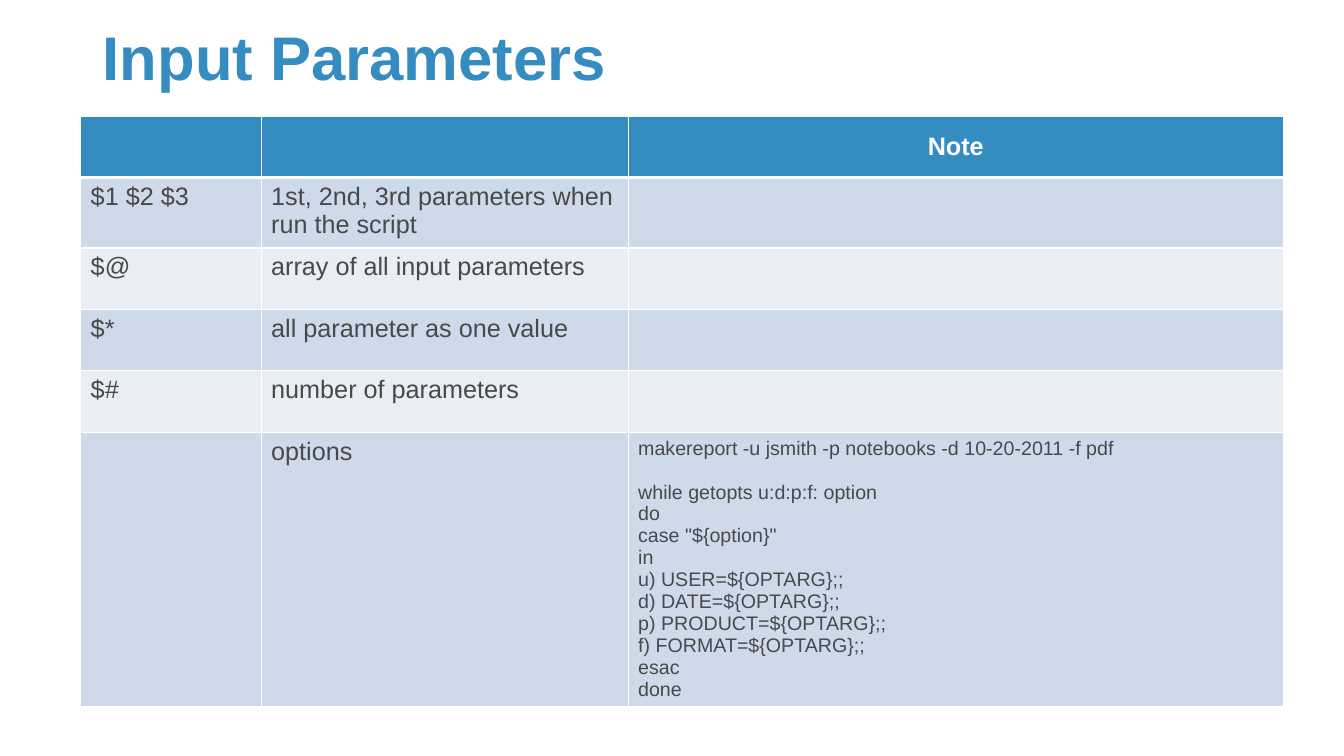
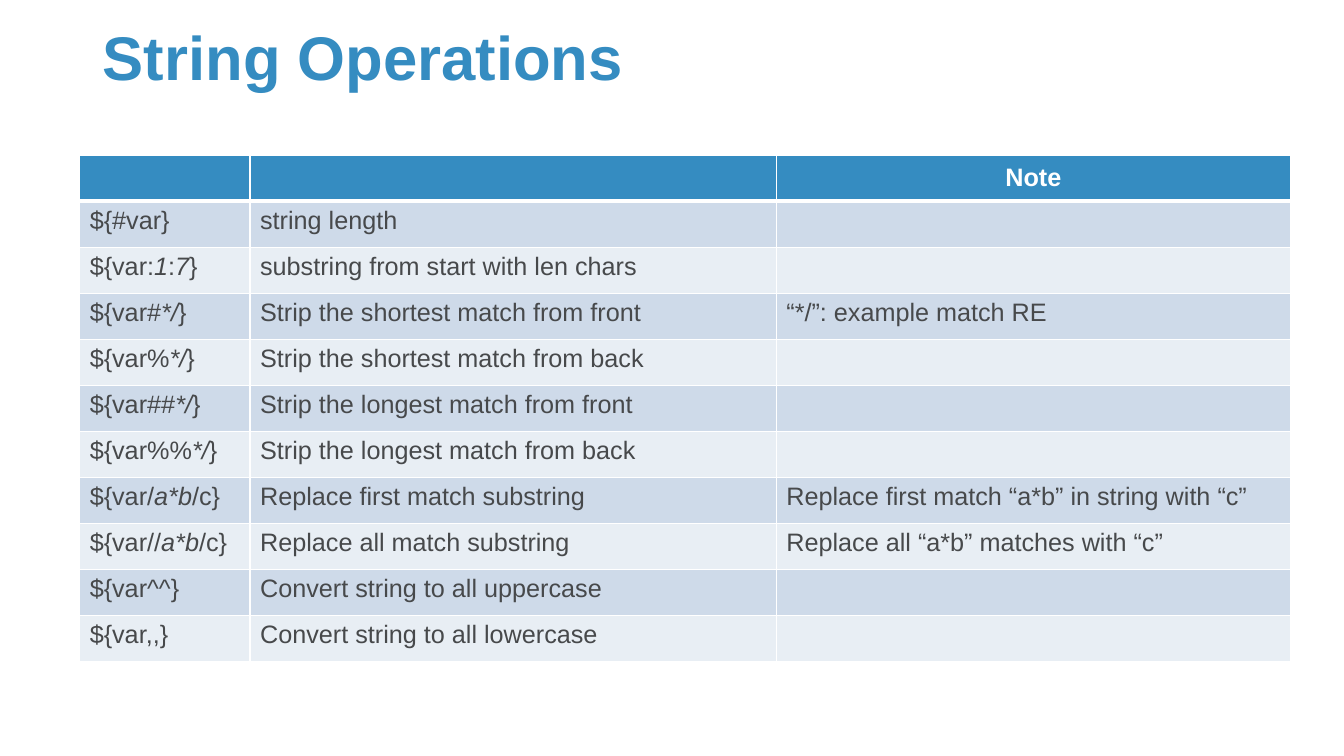
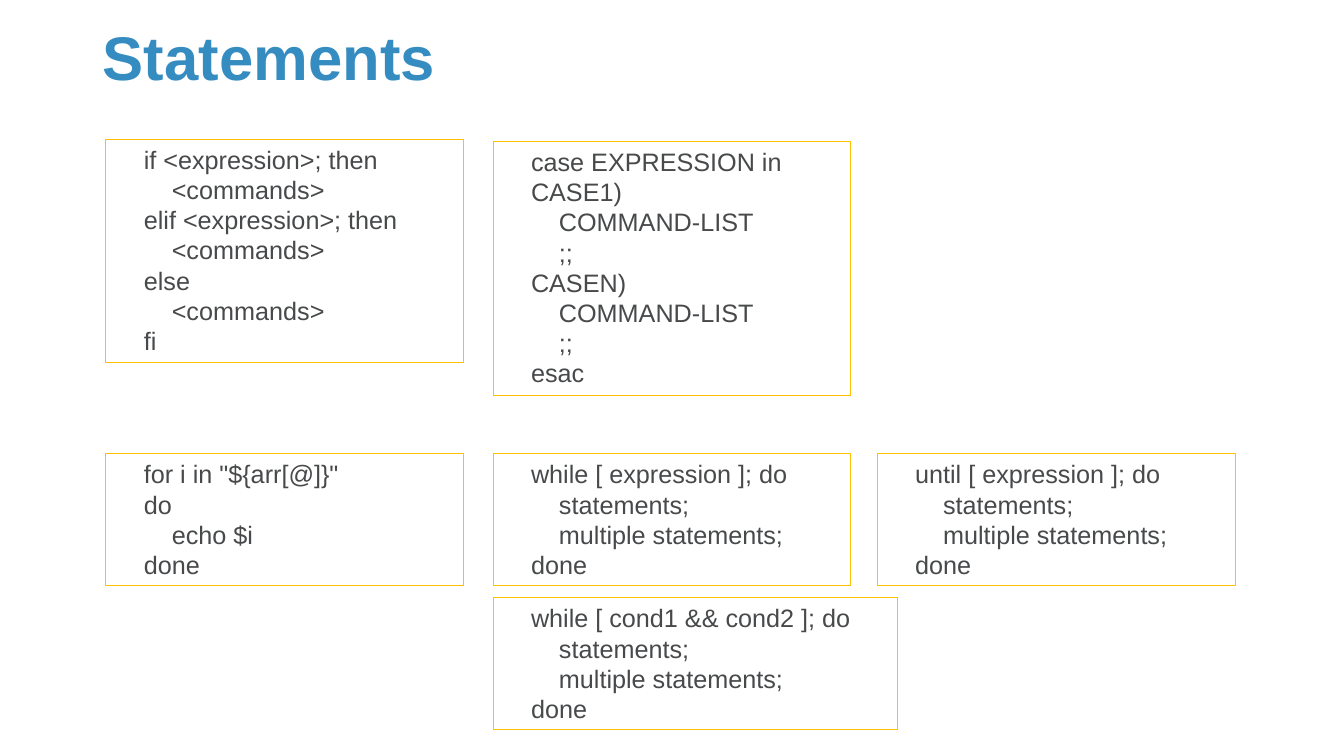
from lxml.etree import SubElement
from pptx import Presentation
from pptx.dml.color import RGBColor
from pptx.enum.shapes import MSO_SHAPE
from pptx.enum.text import MSO_ANCHOR, MSO_AUTO_SIZE, PP_ALIGN
from pptx.oxml.ns import qn
from pptx.util import Pt

EMU_PER_PX = 9144
FONT = "Arial"
BODY_SIZE = 18
CODE_SIZE = 14
INDENT = Pt(20)
TABLE_LEADING = 1.12
BOX_LEADING = 1.2
TITLE_ONLY = 5

COLORS = {
    "blue": "358CC1",
    "text": "47494B",
    "white": "FFFFFF",
    "odd_row": "CEDAE9",
    "even_row": "E8EEF4",
    "gold": "FFC000",
}

HEADER = ("", "", "Note")

OPTIONS_CODE = """makereport -u jsmith -p notebooks -d 10-20-2011 -f pdf

while getopts u:d:p:f: option
do
case "${option}"
in
u) USER=${OPTARG};;
d) DATE=${OPTARG};;
p) PRODUCT=${OPTARG};;
f) FORMAT=${OPTARG};;
esac
done"""

PARAMETERS = [
    ("$1 $2 $3", "1st, 2nd, 3rd parameters when run the script", ""),
    ("$@", "array of all input parameters", ""),
    ("$*", "all parameter as one value", ""),
    ("$#", "number of parameters", ""),
    ("", "options", OPTIONS_CODE),
]

STRING_OPERATIONS = [
    ("${#var}", "string length", ""),
    ("${var:|1|:|7|}", "substring from start with len chars", ""),
    ("${var#|*/|}", "Strip the shortest match from front", "“*/”: example match RE"),
    ("${var%|*/|}", "Strip the shortest match from back", ""),
    ("${var##|*/|}", "Strip the longest match from front", ""),
    ("${var%%|*/|}", "Strip the longest match from back", ""),
    ("${var/|a*b|/c}", "Replace first match substring",
     "Replace first match “a*b” in string with “c”"),
    ("${var//|a*b|/c}", "Replace all match substring",
     "Replace all “a*b” matches with “c”"),
    ("${var^^}", "Convert string to all uppercase", ""),
    ("${var,,}", "Convert string to all lowercase", ""),
]

LOOP_BODY = "\n\tstatements;\n\tmultiple statements;\ndone"

STATEMENTS = [
    (105, 138, 355, "if <expression>; then\n\t<commands>\nelif <expression>; then\n"
                    "\t<commands>\nelse\n\t<commands>\nfi"),
    (489, 140, 355, "case EXPRESSION in\nCASE1)\n\tCOMMAND-LIST\n\t;;\n"
                    "CASEN)\n\tCOMMAND-LIST\n\t;;\nesac"),
    (105, 450, 355, 'for i in "${arr[@]}"\ndo\n\techo $i\ndone'),
    (489, 450, 355, "while [ expression ]; do" + LOOP_BODY),
    (489, 593, 401, "while [ cond1 && cond2 ]; do" + LOOP_BODY),
    (870, 450, 355, "until [ expression ]; do" + LOOP_BODY),
]


def px(length):
    return length * EMU_PER_PX


def color(name):
    return RGBColor.from_string(COLORS[name])


def add_span(para, text, size, color_name, bold=False, italic=False):
    span = para.add_run()
    span.text = text
    font = span.font
    font.name, font.size = FONT, Pt(size)
    font.bold, font.italic = bold, italic
    font.color.rgb = color(color_name)


def write_lines(frame, text, size, leading, margin=0):
    """Tabs indent a line, bars switch italics, an empty line opens a gap."""
    frame.word_wrap = True
    line_height = Pt(size * leading)
    para, gap = frame.paragraphs[0], 0
    for index, line in enumerate(text.split("\n")):
        if not line:
            gap = line_height
            continue
        if index:
            para = frame.add_paragraph()
        para.alignment = PP_ALIGN.LEFT
        para.line_spacing = line_height
        para.space_before, gap = gap, 0
        indent = margin + INDENT * line.count("\t")
        para._p.get_or_add_pPr().set("marL", str(indent))
        for order, part in enumerate(line.strip("\t").split("|")):
            add_span(para, part, size, "text", italic=order % 2 == 1)


def add_page(deck, title):
    page = deck.slides.add_slide(deck.slide_layouts[TITLE_ONLY])
    box = page.shapes.title
    box.left, box.top, box.width, box.height = map(px, (92, 20, 1150, 80))
    frame = box.text_frame
    frame.auto_size = MSO_AUTO_SIZE.NONE
    frame.vertical_anchor = MSO_ANCHOR.MIDDLE
    para = frame.paragraphs[0]
    para.alignment = PP_ALIGN.LEFT
    para.line_spacing = 0.9
    add_span(para, title, 44, "blue", bold=True)
    return page


def set_borders(cell, top, bottom):
    properties = cell._tc.get_or_add_tcPr()
    widths = {"lnL": 1, "lnR": 1, "lnT": top, "lnB": bottom}
    for order, (side, width) in enumerate(widths.items()):
        line = SubElement(properties, qn("a:" + side), w=str(Pt(width)))
        fill = SubElement(line, qn("a:solidFill"))
        SubElement(fill, qn("a:srgbClr"), val=COLORS["white"])
        properties.insert(order, line)


def fill_cell(cell, text, row):
    fill_name = "blue" if row == 0 else "odd_row" if row % 2 else "even_row"
    cell.fill.solid()
    cell.fill.fore_color.rgb = color(fill_name)
    set_borders(cell, 3 if row == 1 else 1, 3 if row == 0 else 1)
    if not text:
        return
    if row == 0:
        cell.vertical_anchor = MSO_ANCHOR.MIDDLE
        para = cell.text_frame.paragraphs[0]
        para.alignment = PP_ALIGN.CENTER
        add_span(para, text, BODY_SIZE, "white", bold=True)
    else:
        size = CODE_SIZE if "\n" in text else BODY_SIZE
        write_lines(cell.text_frame, text, size, TABLE_LEADING)


def add_grid(page, left, top, height, widths, entries):
    rows = [HEADER, *entries]
    frame = page.shapes.add_table(len(rows), len(widths), px(left), px(top),
                                  px(sum(widths)), px(height))
    table = frame.table
    for column, width in zip(table.columns, widths):
        column.width = px(width)
    for row, texts in enumerate(rows):
        for column, text in enumerate(texts):
            fill_cell(table.cell(row, column), text, row)
    return table


def add_code_box(page, left, top, width, code):
    height = 10 + round(30.3 * len(code.split("\n")))
    box = page.shapes.add_shape(MSO_SHAPE.RECTANGLE, px(left), px(top),
                                px(width), px(height))
    box.shadow.inherit = False
    box.fill.background()
    box.line.color.rgb = color("gold")
    box.line.width = Pt(0.75)
    box.text_frame.vertical_anchor = MSO_ANCHOR.TOP
    write_lines(box.text_frame, code, BODY_SIZE, BOX_LEADING, INDENT)


def main():
    deck = Presentation()
    deck.slide_width, deck.slide_height = px(1333), px(750)

    page = add_page(deck, "Input Parameters")
    heights = (61, 70, 61, 61, 61, 272)
    table = add_grid(page, 80, 115, sum(heights), (179, 364, 650), PARAMETERS)
    for row, height in zip(table.rows, heights):
        row.height = px(height)

    page = add_page(deck, "String Operations")
    add_grid(page, 79, 154, 502, (169, 522, 510), STRING_OPERATIONS)

    page = add_page(deck, "Statements")
    for statement in STATEMENTS:
        add_code_box(page, *statement)

    deck.save("out.pptx")


if __name__ == "__main__":
    main()
